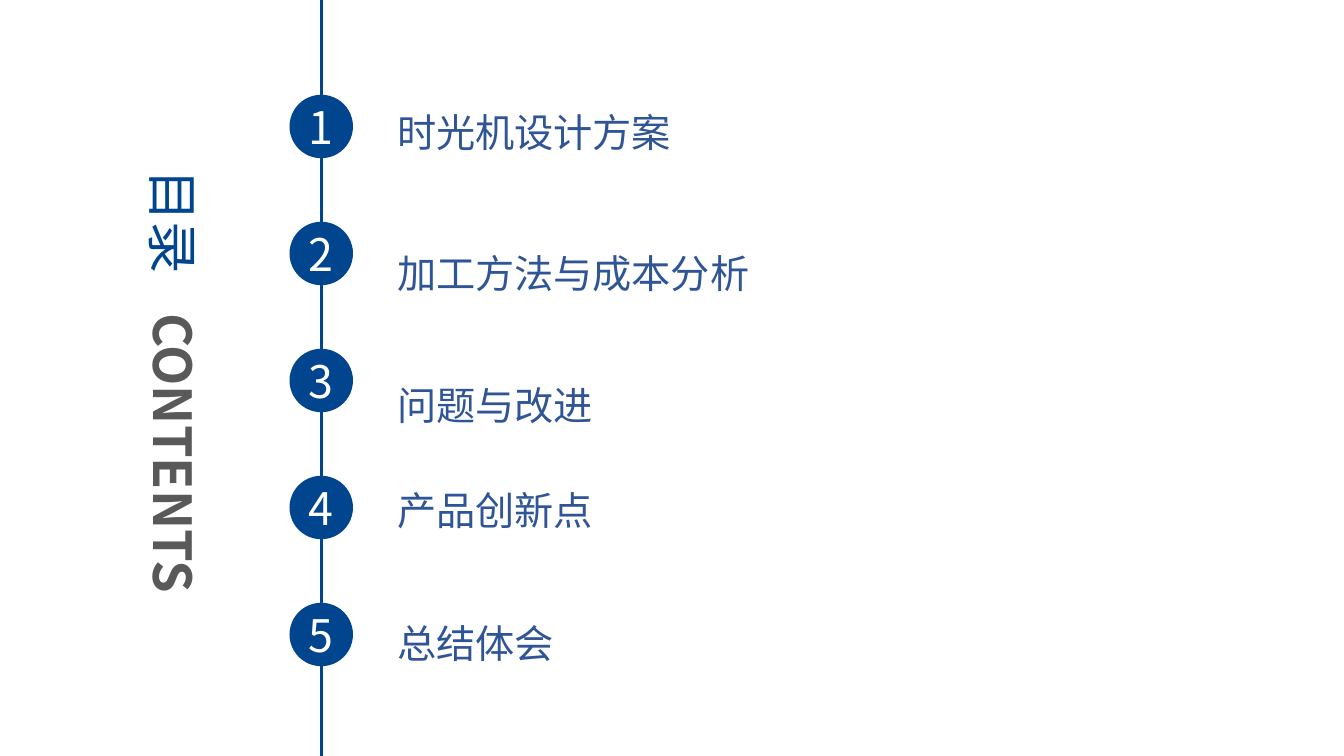
import pptx
import pptx.util
import pptx.dml.color
import pptx.enum.shapes
import pptx.enum.text
import pptx.oxml.ns
import lxml.etree

Pt = pptx.util.Pt
ALIGN = pptx.enum.text.PP_ALIGN
ANCHOR = pptx.enum.text.MSO_ANCHOR
AUTO_SIZE = pptx.enum.text.MSO_AUTO_SIZE

HEADINGS = [
    {"text": "目录", "box": (79.2, 132.48, 90, 52.56), "color": "navy", "bold": False},
    {"text": "CONTENTS", "box": (11.52, 303.12, 225.36, 52.56), "color": "gray", "bold": True},
]
CHAPTERS = [
    ("时光机设计方案", 56.88, 373.68),
    ("加工方法与成本分析", 157.68, 373.68),
    ("问题与改进", 252, 373.68),
    ("产品创新点", 326.88, 500.4),
    ("总结体会", 421.92, 373.68),
]

THEME = {
    "font": "Noto Sans CJK SC",
    "colors": {"navy": "01458E", "gray": "595959", "blue": "2F5597", "white": "FFFFFF"},
    "sizes": {"heading": 37.4, "number": 32, "chapter": 28},
}

SLIDE_WIDTH, SLIDE_HEIGHT = 960, 540
AXIS_X, AXIS_WEIGHT = 229.5, 1.75
DISC_SIZE, DISC_TOP, DISC_PITCH = 45.36, 67.68, 90.72
CHAPTER_LEFT, CHAPTER_HEIGHT = 276.48, 58.32


def color(name):
    return pptx.dml.color.RGBColor.from_string(THEME["colors"][name])


def apply(target, values):
    for name, value in values.items():
        setattr(target, name, value)


def write(shape, text, size, ink, frame, paragraph=None, bold=False):
    apply(shape.text_frame, frame)
    line = shape.text_frame.paragraphs[0]
    apply(line, paragraph or {})
    run = line.add_run()
    run.text = text
    apply(run.font, {"name": THEME["font"], "size": Pt(THEME["sizes"][size]), "bold": bold})
    run.font.color.rgb = color(ink)
    east_asian = lxml.etree.SubElement(run.font._element, pptx.oxml.ns.qn("a:ea"))
    east_asian.set("typeface", THEME["font"])


def add_heading(slide, heading):
    label = slide.shapes.add_textbox(*map(Pt, heading["box"]))
    label.rotation = 90
    write(label, heading["text"], "heading", heading["color"],
          {"word_wrap": False, "auto_size": AUTO_SIZE.SHAPE_TO_FIT_TEXT},
          bold=heading["bold"])


def add_axis(slide):
    axis = slide.shapes.add_connector(
        pptx.enum.shapes.MSO_CONNECTOR.STRAIGHT,
        Pt(AXIS_X), Pt(0), Pt(AXIS_X), Pt(SLIDE_HEIGHT))
    axis.line.color.rgb = color("navy")
    axis.line.width = Pt(AXIS_WEIGHT)
    lxml.etree.SubElement(axis._element.spPr, pptx.oxml.ns.qn("a:effectLst"))


def add_chapter(slide, index, title, top, width):
    disc = slide.shapes.add_shape(
        pptx.enum.shapes.MSO_SHAPE.OVAL,
        Pt(AXIS_X - DISC_SIZE / 2), Pt(DISC_TOP + index * DISC_PITCH),
        Pt(DISC_SIZE), Pt(DISC_SIZE))
    disc.shadow.inherit = False
    disc.fill.solid()
    disc.fill.fore_color.rgb = color("navy")
    disc.line.fill.background()
    write(disc, str(index + 1), "number", "white",
          {"vertical_anchor": ANCHOR.MIDDLE}, {"alignment": ALIGN.CENTER})

    label = slide.shapes.add_textbox(Pt(CHAPTER_LEFT), Pt(top), Pt(width), Pt(CHAPTER_HEIGHT))
    write(label, title, "chapter", "blue",
          {"word_wrap": True, "auto_size": AUTO_SIZE.SHAPE_TO_FIT_TEXT},
          {"line_spacing": 1.5})


def main():
    deck = pptx.Presentation()
    apply(deck, {"slide_width": Pt(SLIDE_WIDTH), "slide_height": Pt(SLIDE_HEIGHT)})
    contents = deck.slides.add_slide(deck.slide_layouts[6])
    for heading in HEADINGS:
        add_heading(contents, heading)
    add_axis(contents)
    for index, (title, top, width) in enumerate(CHAPTERS):
        add_chapter(contents, index, title, top, width)
    deck.save("out.pptx")


if __name__ == "__main__":
    main()
